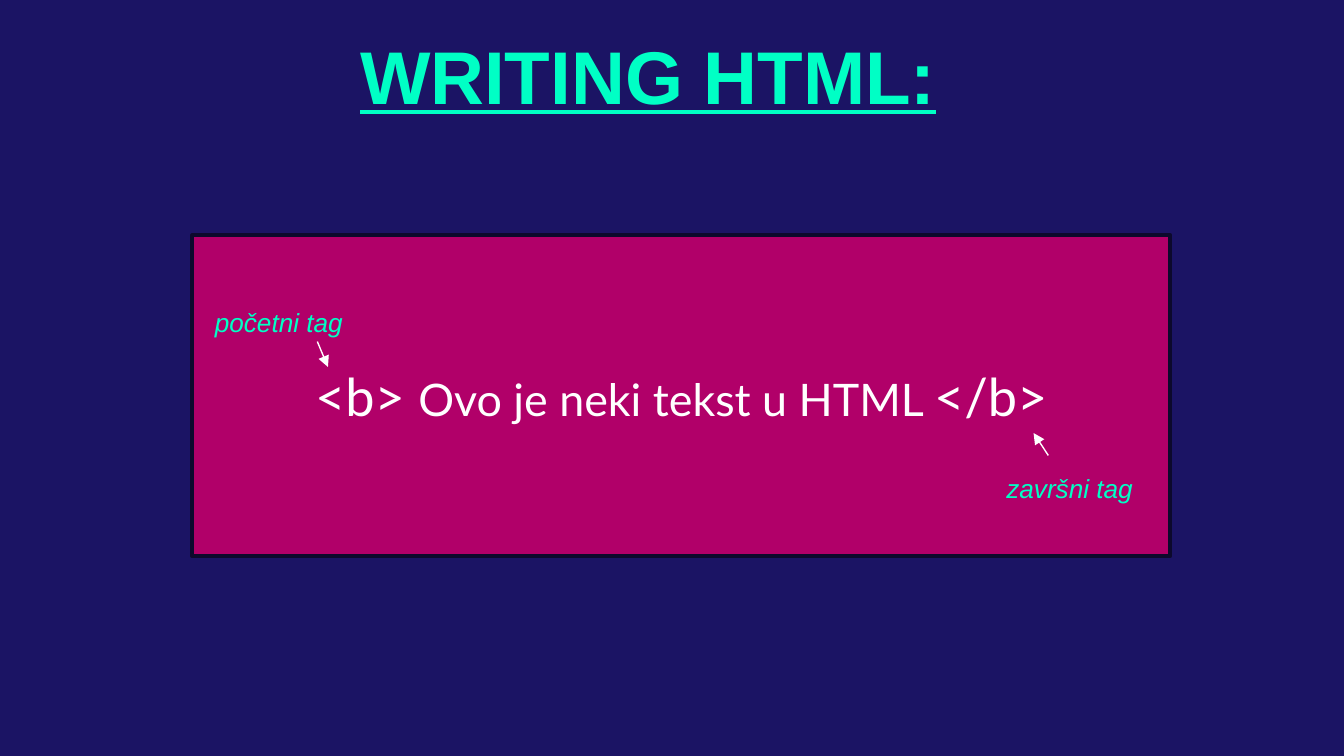
import pptx
import pptx.util
import pptx.dml.color
import pptx.enum.shapes
import pptx.enum.text
import pptx.oxml
import pptx.oxml.ns
from lxml import etree

Pt = pptx.util.Pt
HUES = {"navy": "1B1464", "mint": "00FFC5", "pink": "B10069",
        "edge": "0C092C", "white": "FFFFFF"}


def tint(name):
    return pptx.dml.color.RGBColor.from_string(HUES[name])


def add_run(para, text, size, face, hue, **style):
    run = para.add_run()
    run.text = text
    font = run.font
    font.size, font.name = Pt(size), face
    font.color.rgb = tint(hue)
    for key, value in style.items():
        setattr(font, key, value)


def add_text(slide, box, text, size, inset, **style):
    """Add one line of mint Arial, inset from the top of its box."""
    frame = slide.shapes.add_textbox(*map(Pt, box)).text_frame
    frame.word_wrap = True
    frame.margin_top = Pt(inset)
    add_run(frame.paragraphs[0], text, size, "Arial", "mint", **style)


def add_arrow(slide, start, end):
    arrow = slide.shapes.add_connector(
        pptx.enum.shapes.MSO_CONNECTOR.STRAIGHT, *map(Pt, start + end))
    arrow.line.color.rgb = tint("white")
    arrow.line.width = Pt(0.75)
    qn = pptx.oxml.ns.qn
    line = arrow.line._get_or_add_ln()
    etree.SubElement(line, qn("a:tailEnd"), type="triangle")
    etree.SubElement(arrow._element.spPr, qn("a:effectLst"))


def add_panel(slide, box):
    """Place the tagged sentence with a label and arrow for each tag."""
    left, top, _, _ = box
    panel = slide.shapes.add_shape(
        pptx.enum.shapes.MSO_SHAPE.RECTANGLE, *map(Pt, box))
    panel.shadow.inherit = False
    panel.fill.solid()
    panel.fill.fore_color.rgb = tint("pink")
    panel.line.color.rgb = tint("edge")
    panel.line.width = Pt(2)
    frame = panel.text_frame
    frame.word_wrap = True
    frame.vertical_anchor = pptx.enum.text.MSO_ANCHOR.MIDDLE
    para = frame.paragraphs[0]
    para.alignment = pptx.enum.text.PP_ALIGN.CENTER
    for text, size in (("<b> ", 28), ("Ovo je neki tekst u HTML ", 24),
                       ("</b>", 28)):
        add_run(para, text, size, "Lato", "white")

    # Label, its corner, arrow start and arrow end, from the panel's corner
    notes = (
        ("početni tag", (5, 32.4), (67, 57), (72.7, 70.6)),
        ("završni tag", (429, 121.7), (458.6, 118), (450.7, 106)),
    )
    for text, spot, start, end in notes:
        spot, start, end = ((left + x, top + y) for x, y in (spot, start, end))
        add_text(slide, spot + (85, 24.5), text, 14, 5.5, italic=True)
        add_arrow(slide, start, end)


def main():
    deck = pptx.Presentation()
    deck.slide_width, deck.slide_height = Pt(720), Pt(405)
    slide = deck.slides.add_slide(deck.slide_layouts[6])
    slide.background.fill.solid()
    slide.background.fill.fore_color.rgb = tint("navy")
    add_text(slide, (185.8, 8.6, 375.8, 50.4), "WRITING HTML:", 40, 7.2,
             bold=True, underline=True)
    add_panel(slide, (103, 126, 524, 172))
    deck.save("out.pptx")


if __name__ == "__main__":
    main()
